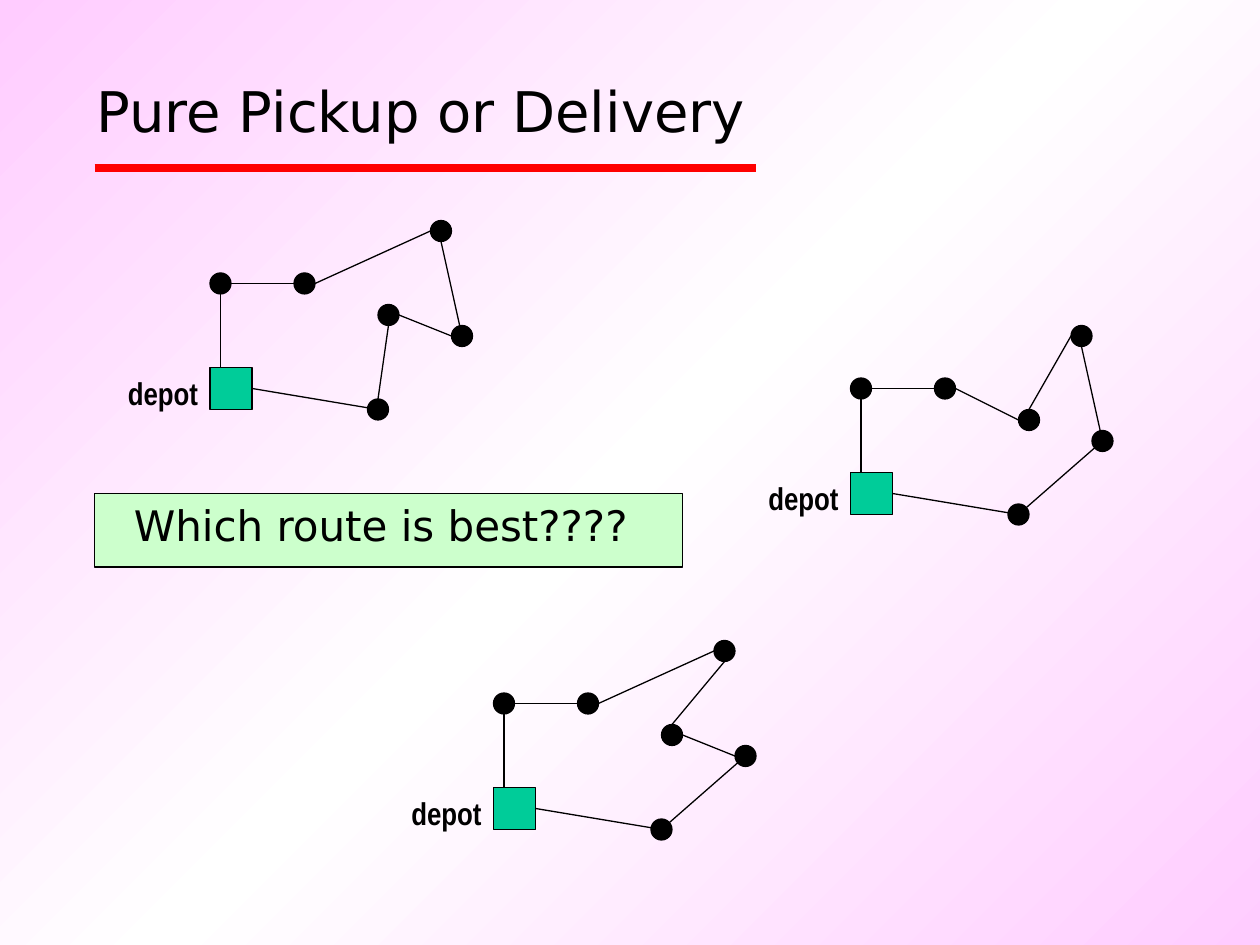
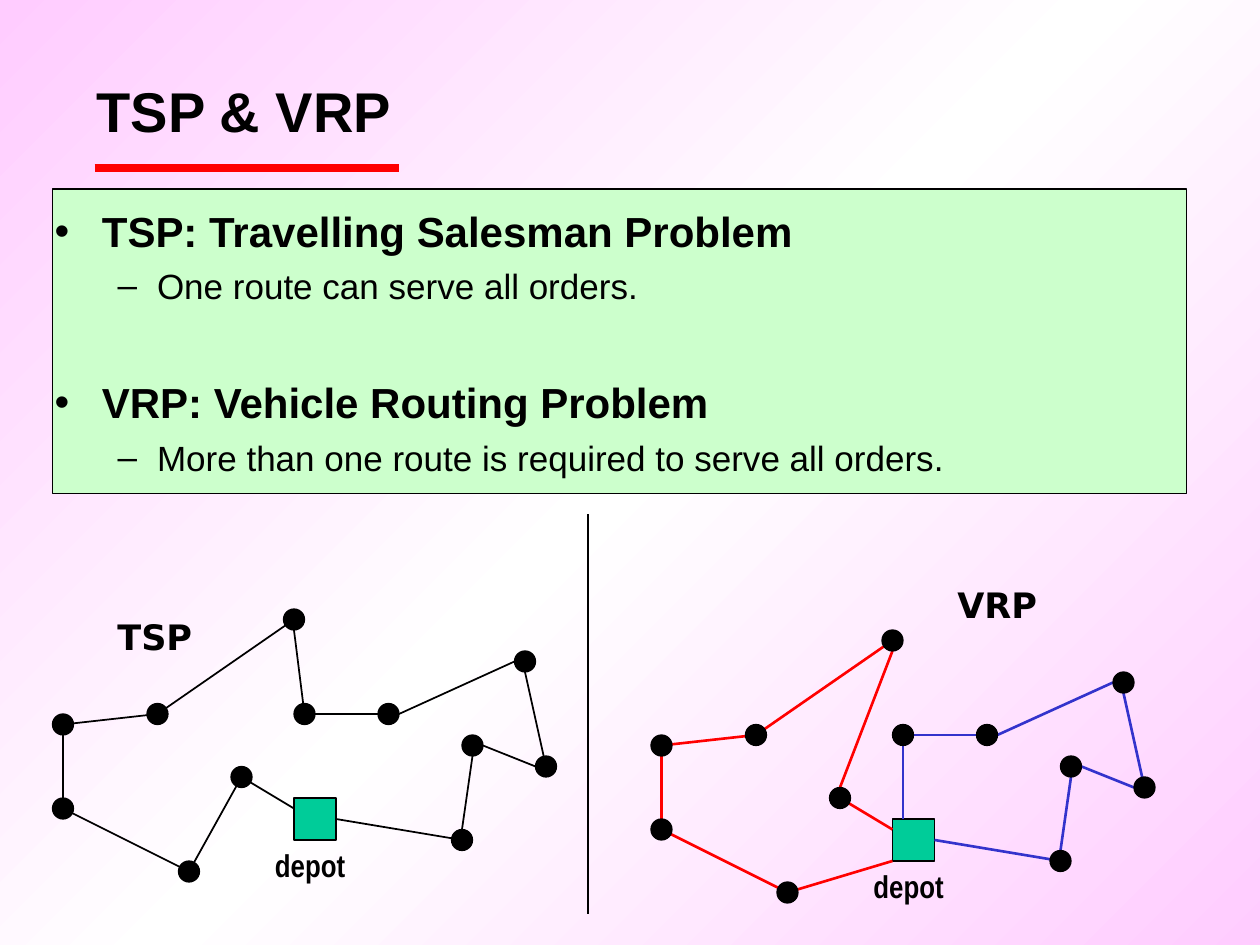
from copy import deepcopy
from lxml.etree import SubElement
from pptx import Presentation
from pptx.dml.color import RGBColor
from pptx.enum.shapes import MSO_CONNECTOR, MSO_SHAPE
from pptx.enum.text import MSO_ANCHOR, MSO_AUTO_SIZE, PP_ALIGN
from pptx.oxml.ns import qn
from pptx.util import Pt

COLORS = {"black": "000000", "white": "FFFFFF", "pink": "FFCCFF", "panel": "CCFFCC",
          "depot": "00CC99", "red": "FF0000", "blue": "3333CC"}
FONTS = {
    "title": {"name": "DejaVu Sans", "size": Pt(32), "bold": False},
    "title bold": {"name": "Arial", "size": Pt(32), "bold": True},
    "question": {"name": "DejaVu Sans", "size": Pt(24), "bold": False},
    "term": {"name": "Arial", "size": Pt(24), "bold": True},
    "meaning": {"name": "Arial", "size": Pt(20), "bold": False},
    "depot": {"name": "Arial Narrow", "size": Pt(18), "bold": True},
    "problem": {"name": "DejaVu Sans", "size": Pt(20), "bold": True},
}

DOT, DEPOT = 12, 24
EAST_DOTS = [(0, -54), (48, -54), (90, 18), (126, -84), (138, -24), (96, -36)]
WEST_DOTS = [(-84, -54), (-138, -48), (-6, -108), (-66, 36), (-36, -18), (-138, 0)]

LEAVE = (6, 0, 6, -42)
ALONG = (12, -48, 48, -48)
CLIMB = (60, -48, 126, -78)
DROP = (132, -72, 144, -18)
INWARD = (138, -18, 108, -30)
AROUND = (144, -18, 96, 24)
HOME = (96, 24, 24, 12)
EAST = [ALONG, CLIMB, DROP, INWARD, (102, -24, 96, 18), HOME]
WEST = [(0, 6, -30, -12), (0, -102, -78, -48), (-78, -48, -132, -42),
        (-132, -42, -132, 6), (-132, 6, -60, 42)]

SLIDES = [
    {
        "title": "Pure Pickup or Delivery", "title font": "title",
        "body": (54, 282, 336, 42), "body filled": True,
        "list": [("Which route is best????", "question", 0, 15.3, 0, 0)],
        "rules": [("red", 4.5, (54, 96, 432, 96))],
        "label offset": (-54, 0), "dots": EAST_DOTS, "captions": [],
        "routes": [
            (120, 210, [("black", 0.75, [LEAVE] + EAST)]),
            (486, 270, [("black", 0.75, [LEAVE, ALONG, (60, -48, 96, -30), DROP,
                                         (126, -78, 102, -36), AROUND, HOME])]),
            (282, 450, [("black", 0.75, [LEAVE, ALONG, CLIMB, (132, -72, 102, -36),
                                         INWARD, AROUND, HOME])]),
        ],
    },
    {
        "title": "TSP & VRP", "title font": "title bold",
        "body": (24, 114, 648, 204), "body filled": False,
        "list": [
            ("TSP: Travelling Salesman Problem", "term", 0, 27, -27, 0),
            ("One route can serve all orders.", "meaning", 1, 58.5, -22.5, 5),
            ("VRP: Vehicle Routing Problem", "term", 0, 27, -27, 40),
            ("More than one route is required to serve all orders.", "meaning", 1, 58.5, -22.5, 5),
        ],
        "rules": [("red", 4.5, (54, 96, 228, 96)), ("black", 0.75, (336, 294, 336, 522))],
        "label offset": (-18, 24), "dots": EAST_DOTS + WEST_DOTS,
        "captions": [("TSP", 60, 348), ("VRP", 540, 330)],
        "routes": [
            (168, 456, [("black", 1, EAST + WEST + [(6, -48, 0, -96), (-60, 42, -30, -12)])]),
            (510, 468, [("red", 1.5, WEST + [(-30, -18, 0, -96), (-60, 42, 0, 24)]),
                        ("blue", 1.5, [LEAVE] + EAST)]),
        ],
    },
]


def write(p, text, font):
    r = p.add_run()
    r.text = text
    for key, value in FONTS[font].items():
        setattr(r.font, key, value)
    r.font.color.rgb = RGBColor.from_string(COLORS["black"])


def paint(sp, fill):
    sp.shadow.inherit = False
    sp.fill.solid()
    sp.fill.fore_color.rgb = RGBColor.from_string(COLORS[fill])
    sp.line.color.rgb = RGBColor.from_string(COLORS["black"])
    sp.line.width = Pt(0.75)


prs = Presentation()
prs.slide_width, prs.slide_height = Pt(720), Pt(540)

master = prs.slide_master
fill = master.background.fill
fill.gradient()
fill.gradient_angle = 315
stops = master.element.find(".//" + qn("a:gsLst"))
stops.append(deepcopy(stops[0]))
for stop, position, color in zip(fill.gradient_stops, (0, 0.5, 1), ("pink", "white", "pink")):
    stop.position = position
    stop.color.rgb = RGBColor.from_string(COLORS[color])

for page in SLIDES:
    s = prs.slides.add_slide(prs.slide_layouts[1])
    title, body = s.placeholders
    for sp, box in ((title, (48, 18, 612, 108 - 18)), (body, page["body"])):
        sp.left, sp.top, sp.width, sp.height = map(Pt, box)
        sp.text_frame.auto_size = MSO_AUTO_SIZE.NONE
        sp.text_frame.word_wrap = True

    title.text_frame.vertical_anchor = MSO_ANCHOR.MIDDLE
    p = title.text_frame.paragraphs[0]
    p.alignment = PP_ALIGN.LEFT
    write(p, page["title"], page["title font"])

    tf = body.text_frame
    for i, (text, font, level, margin, indent, before) in enumerate(page["list"]):
        p = tf.add_paragraph() if i else tf.paragraphs[0]
        p.level = level
        p.space_before = Pt(before)
        pPr = p._p.get_or_add_pPr()
        pPr.set("marL", str(Pt(margin)))
        pPr.set("indent", str(Pt(indent)))
        if not indent:
            SubElement(pPr, qn("a:buNone"))
        write(p, text, font)

    if page["body filled"]:
        paint(body, "panel")
    else:
        panel = s.shapes.add_shape(MSO_SHAPE.RECTANGLE, Pt(30), Pt(108), Pt(648), Pt(174))
        paint(panel, "panel")
        panel.element.getparent().insert(2, panel.element)

    strokes = list(page["rules"])
    labels = [(text, "problem", x, y, 72, 36) for text, x, y in page["captions"]]
    dots = []
    depots = {}
    for x, y, tours in page["routes"]:
        depot = s.shapes.add_shape(MSO_SHAPE.RECTANGLE, Pt(x), Pt(y), Pt(DEPOT), Pt(DEPOT))
        paint(depot, "depot")
        depots[x + DEPOT, y + DEPOT // 2] = depot
        dx, dy = page["label offset"]
        labels.append(("depot", "depot", x + dx, y + dy, 60, 29))
        dots += [(x + dx, y + dy) for dx, dy in page["dots"]]
        for color, width, legs in tours:
            strokes += [(color, width, (x + x1, y + y1, x + x2, y + y2))
                        for x1, y1, x2, y2 in legs]

    for color, width, ends in strokes:
        line = s.shapes.add_connector(MSO_CONNECTOR.STRAIGHT, *map(Pt, ends))
        line.line.color.rgb = RGBColor.from_string(COLORS[color])
        line.line.width = Pt(width)
        SubElement(line.element.spPr, qn("a:effectLst"))
        if ends[2:] in depots:
            line.end_connect(depots[ends[2:]], 3)

    for x, y in dots:
        paint(s.shapes.add_shape(MSO_SHAPE.OVAL, Pt(x), Pt(y), Pt(DOT), Pt(DOT)), "black")

    for text, font, *box in labels:
        tf = s.shapes.add_textbox(*map(Pt, box)).text_frame
        tf.word_wrap = True
        write(tf.paragraphs[0], text, font)

prs.save("out.pptx")
